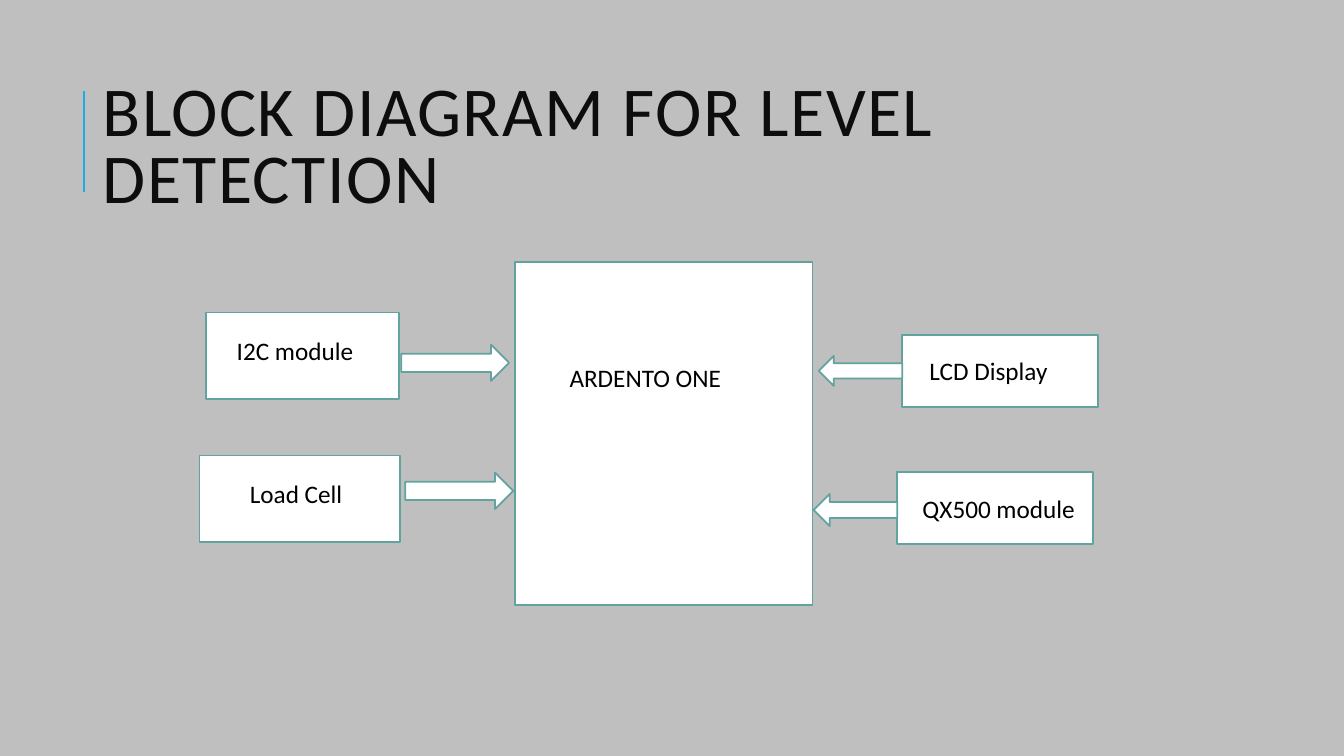
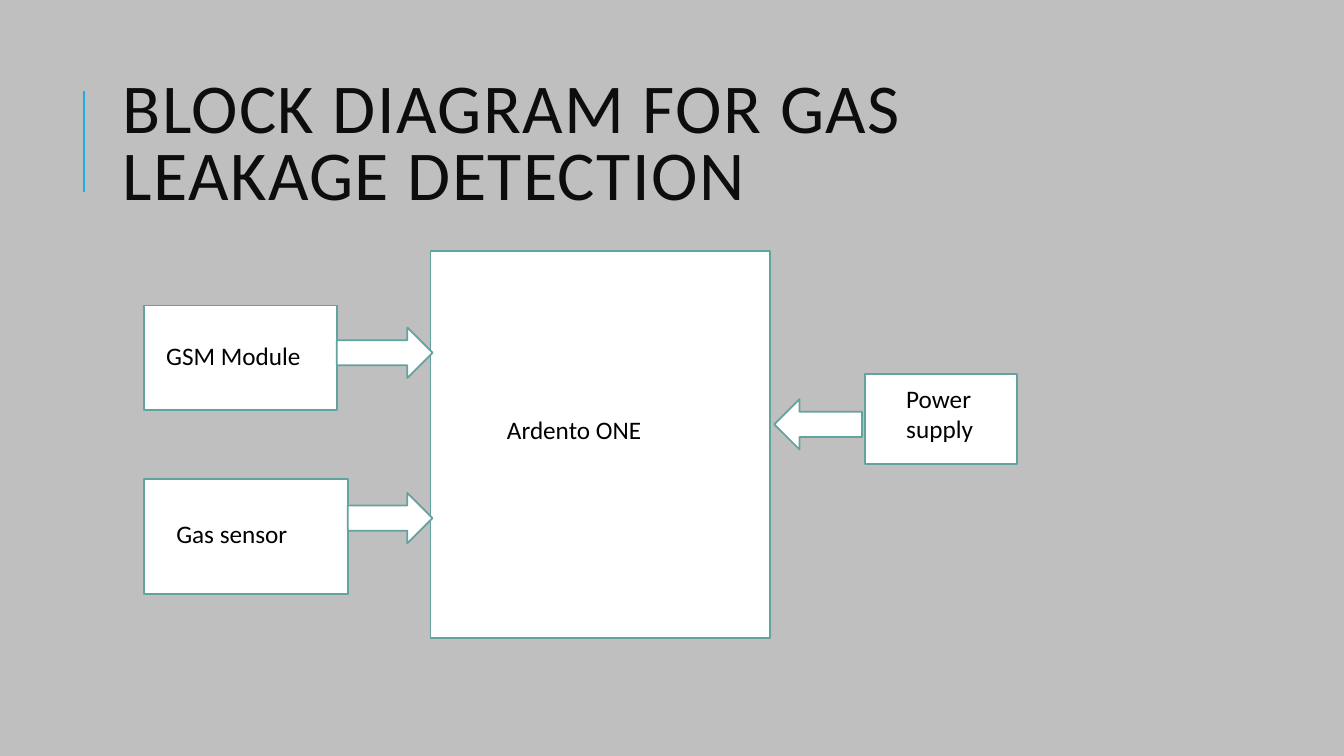
import pptx
import pptx.dml.color
import pptx.enum.shapes
import pptx.enum.text
import pptx.oxml
import pptx.util
from pptx.util import Inches

SHAPE = pptx.enum.shapes.MSO_SHAPE
ANCHOR = pptx.enum.text.MSO_ANCHOR
COLORS = {"background": "BFBFBF", "accent": "1CADE4", "title": "0D0D0D",
          "label": "000000", "fill": "FFFFFF", "outline": "62A39F"}
TITLE_FONT = {"name": "Calibri", "size": pptx.util.Pt(50)}
LABEL_FONT = {"name": "Calibri", "size": pptx.util.Pt(18)}

# Each block is (box, text, label offset and width, arrow gap, drop, width, height).
SLIDES = [
    {
        "title": ("BLOCK DIAGRAM FOR LEVEL DETECTION", (0.92, 0.76, 11.5, 1.45)),
        "hub": ((5.11, 2.6, 2.95, 3.4), "ARDENTO ONE", (0.44, 0.95, 2.01)),
        "blocks": [
            ((2.04, 3.1, 1.92, 0.86), "I2C module", (0.21, 0.18, 1.56), (0.02, 0.32, 1.07, 0.36)),
            ((1.98, 4.52, 1.99, 0.86), "Load Cell", (0.4, 0.18, 1.56), (0.05, 0.17, 1.07, 0.36)),
            ((8.95, 3.32, 1.94, 0.72), "LCD Display", (0.17, 0.16, 1.46), (0, 0.21, 0.83, 0.3)),
            ((8.9, 4.68, 1.94, 0.72), "QX500 module", (0.15, 0.16, 1.85), (0, 0.22, 0.83, 0.32)),
        ],
    },
    {
        "title": ("BLOCK DIAGRAM FOR GAS LEAKAGE DETECTION", (1.12, 0.64, 10.63, 1.64)),
        "hub": ((4.27, 2.49, 3.37, 3.84), "Ardento ONE", (0.66, 1.57, 2.02)),
        "blocks": [
            ((1.43, 3.03, 1.91, 1.04), "GSM Module", (0.12, 0.3, 1.58), (0, 0.22, 0.95, 0.5)),
            ((1.43, 4.75, 2.02, 1.14), "Gas sensor", (0.22, 0.34, 1.62), (0, 0.14, 0.84, 0.5)),
            ((8.58, 3.71, 1.51, 0.89), "Power supply", (0.31, 0.04, 1.2), (0.03, 0.25, 0.87, 0.5)),
        ],
    },
]


def color(name):
    """Return the RGB colour of a named role."""
    return pptx.dml.color.RGBColor.from_string(COLORS[name])


def add_text(slide, box, text, font, role, frame_format):
    """Add a wrapped text box and return its paragraph."""
    frame = slide.shapes.add_textbox(*map(Inches, box)).text_frame
    for key, value in {"word_wrap": True, **frame_format}.items():
        setattr(frame, key, value)
    paragraph = frame.paragraphs[0]
    run = paragraph.add_run()
    run.text = text
    for key, value in font.items():
        setattr(run.font, key, value)
    run.font.color.rgb = color(role)
    return paragraph


def add_outlined(slide, kind, box):
    """Add a white shape with the diagram's outline."""
    shape = slide.shapes.add_shape(kind, *map(Inches, box))
    shape.shadow.inherit = False
    shape.fill.solid()
    shape.fill.fore_color.rgb = color("fill")
    shape.line.color.rgb = color("outline")
    shape.line.width = pptx.util.Pt(1.25)


def add_header(slide, text, box):
    """Add the accent rule and the title in its box."""
    rule = slide.shapes.add_connector(
        pptx.enum.shapes.MSO_CONNECTOR.STRAIGHT,
        Inches(0.83), Inches(1.9), Inches(0.83), Inches(0.9))
    rule.line.color.rgb = color("accent")
    rule.line.width = pptx.util.Pt(1.5)
    properties = rule.element.spPr
    properties.append(pptx.oxml.parse_xml(
        '<a:effectLst xmlns:a="http://schemas.openxmlformats.org/drawingml/2006/main"/>'))
    paragraph = add_text(slide, box, text, TITLE_FONT, "title",
                         {"vertical_anchor": ANCHOR.MIDDLE})
    paragraph.line_spacing = 0.8
    paragraph.runs[0].font.element.set("spc", "100") if hasattr(
        paragraph.runs[0].font, "element") else paragraph.runs[0]._r.get_or_add_rPr().set("spc", "100")


def add_block(slide, box, text, label):
    """Add a rectangle with a label offset from its corner."""
    left, top = box[:2]
    across, down, width = label
    add_outlined(slide, SHAPE.RECTANGLE, box)
    add_text(slide, (left + across, top + down, width, 0.4), text, LABEL_FONT, "label",
             {"auto_size": pptx.enum.text.MSO_AUTO_SIZE.SHAPE_TO_FIT_TEXT})


def add_arrow(slide, box, hub_box, arrow):
    """Add an arrow from the side of a block that faces the hub."""
    left, top, block_width = box[:3]
    gap, drop, width, height = arrow
    if left < hub_box[0]:
        kind, start = SHAPE.RIGHT_ARROW, left + block_width + gap
    else:
        kind, start = SHAPE.LEFT_ARROW, left - gap - width
    add_outlined(slide, kind, (start, top + drop, width, height))


def add_diagram_slide(deck, content):
    """Add one slide with a hub and the blocks that feed it."""
    slide = deck.slides.add_slide(deck.slide_layouts[6])
    slide.background.fill.solid()
    slide.background.fill.fore_color.rgb = color("background")
    add_header(slide, *content["title"])
    add_block(slide, *content["hub"])
    for box, text, label, arrow in content["blocks"]:
        add_block(slide, box, text, label)
        add_arrow(slide, box, content["hub"][0], arrow)


def main():
    """Build and save the deck."""
    deck = pptx.Presentation()
    deck.slide_width, deck.slide_height = Inches(13.33), Inches(7.5)
    for content in SLIDES:
        add_diagram_slide(deck, content)
    deck.save("out.pptx")


if __name__ == "__main__":
    main()
